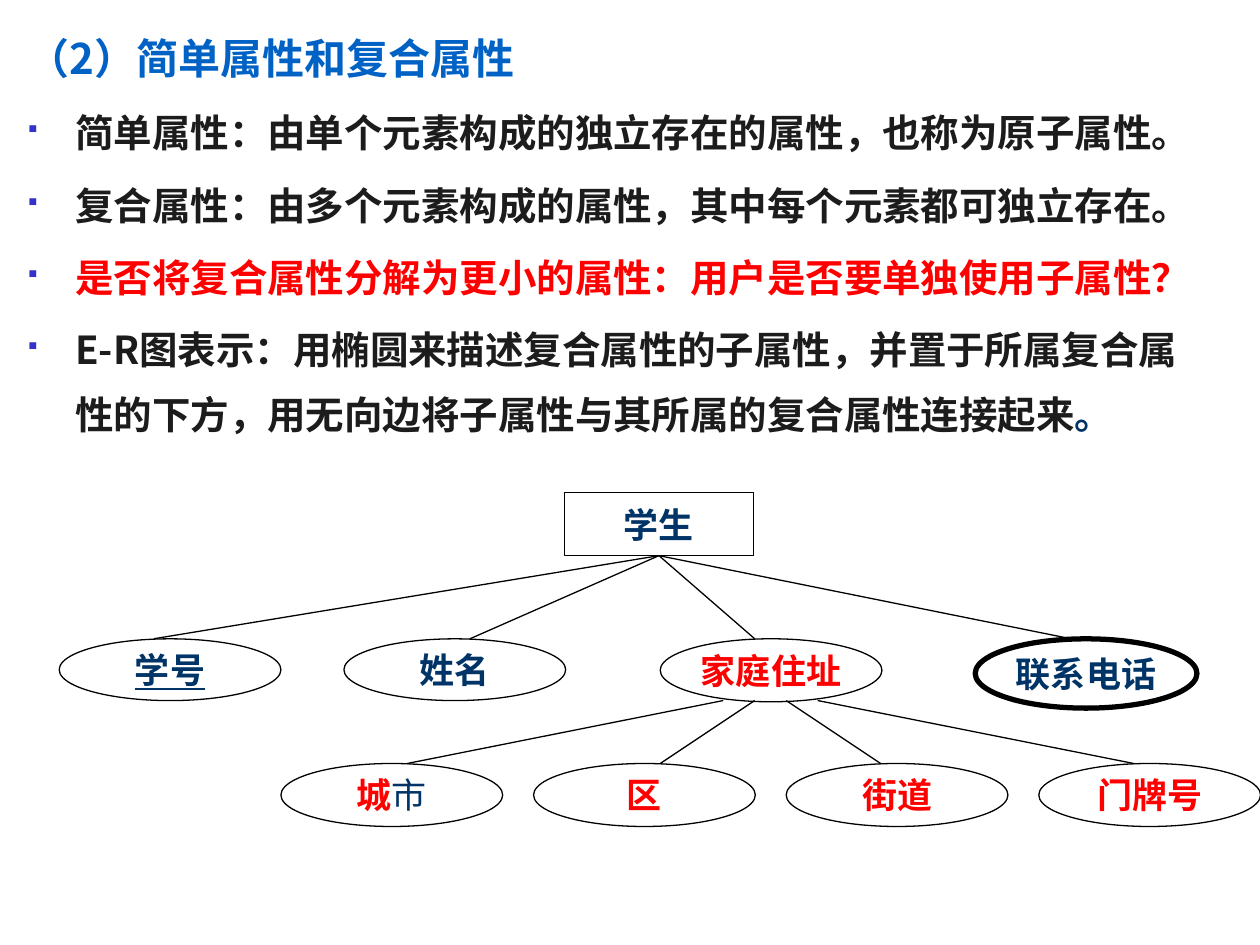
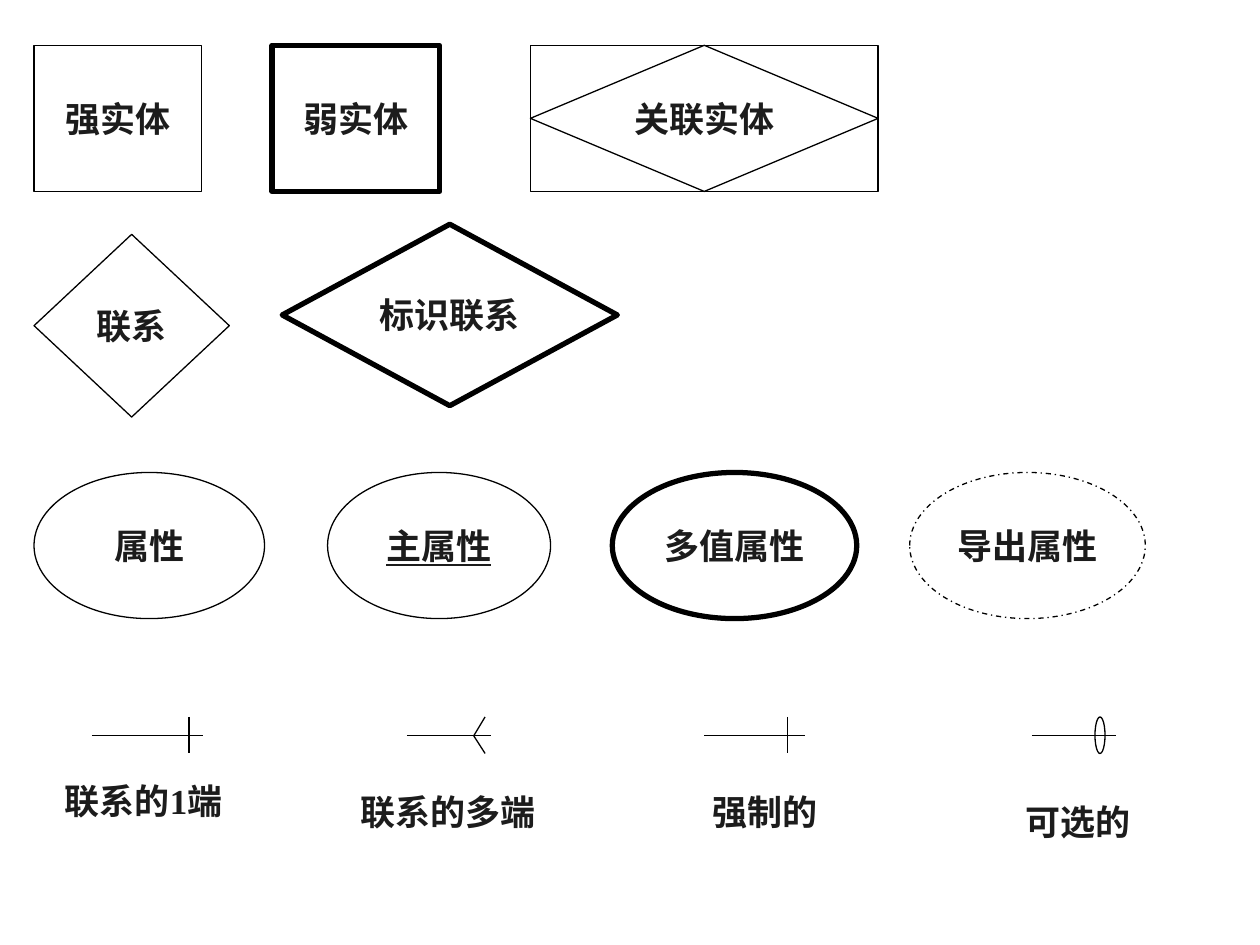
from lxml import etree
from pptx import Presentation
from pptx.dml.color import RGBColor
from pptx.enum.dml import MSO_LINE
from pptx.enum.shapes import MSO_CONNECTOR, MSO_SHAPE as SHAPE
from pptx.enum.text import MSO_ANCHOR as ANCHOR, PP_ALIGN as ALIGN
from pptx.oxml.ns import qn
from pptx.util import Inches, Pt

COLORS = {
    "white": "FFFFFF", "line": "000000", "title": "0062C4", "ink": "1C1C1C",
    "navy": "003366", "red": "FF0000", "bullet": "3333CC",
}
SANS, SERIF = "Noto Sans CJK SC", "Times New Roman"
THIN, THICK = 0.75, 3


def rgb(name):
    return RGBColor.from_string(COLORS[name])


def sub(parent, tag, **attrs):
    return etree.SubElement(parent, qn(tag), attrs)


def add_run(p, text, size=20, color="ink", font=SANS, bold=True, underline=False):
    r = p.add_run()
    r.text = text
    r.font.size, r.font.name, r.font.bold = Pt(size), font, bold
    if underline:
        r.font.underline = True
    r.font.color.rgb = rgb(color)
    sub(r.font._element, "a:ea", typeface=SANS)
    return r


class Deck:
    def __init__(self):
        self.prs = Presentation()
        self.prs.slide_width, self.prs.slide_height = Inches(10), Inches(7.5)
        self.s = None

    def new_slide(self):
        self.s = self.prs.slides.add_slide(self.prs.slide_layouts[6])

    def shape(self, kind, x, y, w, h, runs=(), width=THIN, filled=True,
              dash=None, inset=(0.1, 0.08), anchor=ANCHOR.MIDDLE, **fmt):
        """Black outlined shape; runs is a list of (text, format) pairs."""
        sp = self.s.shapes.add_shape(kind, Inches(x), Inches(y), Inches(w), Inches(h))
        sp.shadow.inherit = False
        if filled:
            sp.fill.solid()
            sp.fill.fore_color.rgb = rgb("white")
        else:
            sp.fill.background()
        if width:
            sp.line.color.rgb = rgb("line")
            sp.line.width = Pt(width)
            if dash:
                sp.line.dash_style = dash
        else:
            sp.line.fill.background()
        if runs:
            tf = sp.text_frame
            tf.word_wrap = False
            tf.vertical_anchor = anchor
            tf.margin_left = tf.margin_right = Inches(inset[0])
            tf.margin_top = tf.margin_bottom = Inches(inset[1])
            p = tf.paragraphs[0]
            p.alignment, p.line_spacing = ALIGN.CENTER, Pt(24)
            for text, own in runs:
                add_run(p, text, **{**fmt, **own})
        return sp

    def line(self, x1, y1, x2, y2, start=None):
        """Thin line; start is a rectangle whose bottom middle it leaves."""
        c = self.s.shapes.add_connector(
            MSO_CONNECTOR.STRAIGHT, Inches(x1), Inches(y1), Inches(x2), Inches(y2))
        c.line.color.rgb = rgb("line")
        c.line.width = Pt(THIN)
        sub(c._element.spPr, "a:effectLst")
        if start is not None:
            c.begin_connect(start, 2)

    def body(self, x, y, w, h, paragraphs):
        """Text box of (bulleted, size, [(text, color)]) paragraphs."""
        tf = self.s.shapes.add_textbox(
            Inches(x), Inches(y), Inches(w), Inches(h)).text_frame
        tf.word_wrap = True
        for i, (bulleted, size, runs) in enumerate(paragraphs):
            p = tf.add_paragraph() if i else tf.paragraphs[0]
            p.line_spacing = Pt(round(size * 1.68, 1))
            if i:
                p.space_before = Pt(size * 0.2)
            pPr = p._p.get_or_add_pPr()
            pPr.set("marL", str(Inches(0.38)))
            pPr.set("indent", str(-Inches(0.38)))
            if bulleted:
                sub(sub(pPr, "a:buClr"), "a:srgbClr", val=COLORS["bullet"])
                sub(pPr, "a:buSzPct", val="60000")
                sub(pPr, "a:buFont", typeface="Wingdings")
                sub(pPr, "a:buChar", char="§")
            else:
                sub(pPr, "a:buNone")
            for text, color in runs:
                add_run(p, text, size=size, color=color)


def composite_attributes(deck):
    deck.new_slide()

    # Title and definitions
    deck.body(0.12, 0.05, 9.61, 3.86, [
        (False, 24, [("（2）简单属性和复合属性", "title")]),
        (True, 22, [("简单属性：由单个元素构成的独立存在的属性，也称为原子属性。", "ink")]),
        (True, 22, [("复合属性：由多个元素构成的属性，其中每个元素都可独立存在。", "ink")]),
        (True, 22, [("是否将复合属性分解为更小的属性：用户是否要单独使用子属性？", "red")]),
        (True, 22, [("E-R图表示：用椭圆来描述复合属性的子属性，并置于所属复合属性的下方，"
                     "用无向边将子属性与其所属的复合属性连接起来", "ink"), ("。", "navy")]),
    ])

    # Entity and its attributes
    student = deck.shape(SHAPE.RECTANGLE, 4.48, 3.91, 1.5, 0.5,
                         [("学生", {})], color="navy", inset=(0.1, 0.05))
    attributes = [
        (0.47, 0.49, "学号", {"underline": True}, THIN, 1.22),
        (2.73, 0.49, "姓名", {}, THIN, 3.73),
        (5.24, 0.5, "家庭住址", {"color": "red"}, THIN, 5.99),
        (7.74, 0.55, "联系电话", {}, THICK, 8.5),
    ]
    for x, h, name, fmt, width, end_x in attributes:
        deck.shape(SHAPE.OVAL, x, 5.07, 1.76, h, [(name, fmt)],
                   color="navy", width=width, inset=(0, 0.01))
        deck.line(5.23, 4.41, end_x, 5.07, start=student)

    # Parts of the address
    parts = [
        ([("城", {}), ("市", {"color": "navy", "bold": False})], 3.23),
        ([("区", {})], 5.24),
        ([("街道", {})], 6.99),
        ([("门牌号", {})], 9),
    ]
    for i, (runs, end_x) in enumerate(parts):
        deck.shape(SHAPE.OVAL, 2.23 + i * 2.005, 6.06, 1.76, 0.5, runs,
                   color="red", inset=(0, 0.01))
        deck.line(5.74 + i * 0.25, 5.56, end_x, 6.06)


def er_symbols(deck):
    deck.new_slide()

    def symbol(kind, x, y, w, h, name, underline=False, **style):
        deck.shape(kind, x, y, w, h, [(name, {"underline": underline})],
                   font=SERIF, **style)

    # Entities
    symbol(SHAPE.RECTANGLE, 0.27, 0.36, 1.33, 1.16, "强实体")
    symbol(SHAPE.RECTANGLE, 2.16, 0.36, 1.33, 1.16, "弱实体", width=THICK)
    symbol(SHAPE.DIAMOND, 4.21, 0.36, 2.76, 1.16, "关联实体")
    deck.shape(SHAPE.RECTANGLE, 4.21, 0.36, 2.76, 1.16, filled=False)

    # Relationships
    symbol(SHAPE.DIAMOND, 0.27, 1.86, 1.55, 1.45, "联系")
    symbol(SHAPE.DIAMOND, 2.24, 1.78, 2.66, 1.44, "标识联系", width=THICK)

    # Attributes
    for x, w, name, style in [
        (0.27, 1.83, "属性", {}),
        (2.6, 1.77, "主属性", {"underline": True}),
        (4.86, 1.94, "多值属性", {"width": THICK}),
        (7.22, 1.87, "导出属性", {"dash": MSO_LINE.DASH_DOT}),
    ]:
        symbol(SHAPE.OVAL, x, 3.75, w, 1.16, name, **style)

    # Line ends: stems, then their marks
    top, mid, bottom = 5.69, 5.84, 5.98
    deck.shape(SHAPE.OVAL, 8.69, top, 0.08, bottom - top)
    for x1, x2 in [(0.73, 1.61), (3.23, 3.9), (5.59, 6.39), (8.19, 8.86)]:
        deck.line(x1, mid, x2, mid)
    for x in (1.5, 6.25):
        deck.line(x, top, x, bottom)
    for y in (top, bottom):
        deck.line(3.76, mid, 3.85, y)

    # Line end labels
    for x, y, w, h, name in [
        (0, 6.11, 2.28, 0.47, "联系的1端"),
        (2.64, 6.19, 1.83, 0.86, "联系的多端"),
        (5.39, 6.19, 1.36, 0.87, "强制的"),
        (7.91, 6.27, 1.29, 0.87, "可选的"),
    ]:
        symbol(SHAPE.RECTANGLE, x, y, w, h, name, width=0, anchor=ANCHOR.TOP)


def main():
    deck = Deck()
    composite_attributes(deck)
    er_symbols(deck)
    deck.prs.save("out.pptx")


if __name__ == "__main__":
    main()
